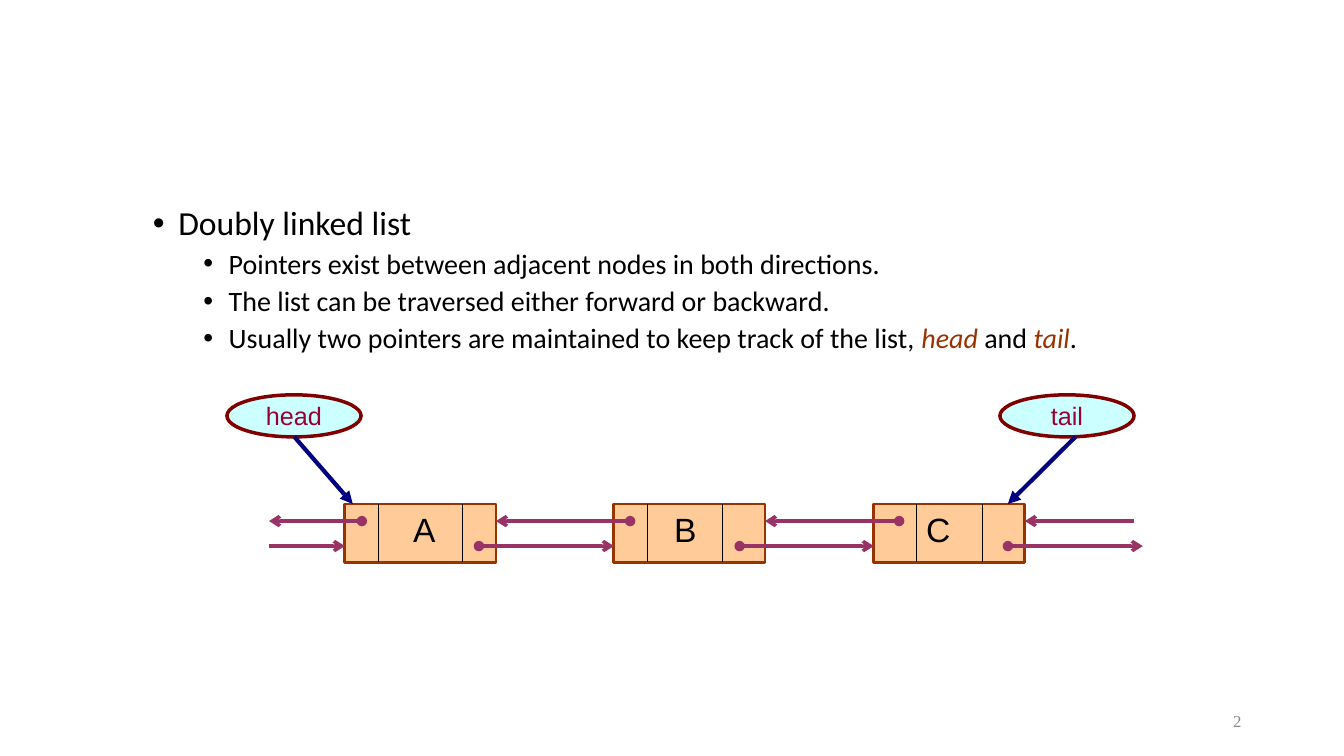
from dataclasses import dataclass

from lxml import etree
from pptx import Presentation
from pptx import util as u
from pptx.dml.color import RGBColor
from pptx.enum import shapes, text
from pptx.oxml.ns import qn


@dataclass(frozen=True)
class Theme:
    black: str = "000000"
    brown: str = "993300"
    peach: str = "FFCC99"
    plum: str = "993366"
    cyan: str = "CCFFFF"
    maroon: str = "800000"
    crimson: str = "990033"
    navy: str = "000080"
    grey: str = "898989"
    body_font: str = "Calibri"
    label_font: str = "Arial"
    number_font: str = "Times New Roman"
    large: int = 24
    medium: int = 20
    small: int = 18
    tiny: int = 12


@dataclass(frozen=True)
class Node:
    label: str
    left: float
    dividers: tuple
    label_left: float
    next_dot: float
    prev_dot: float


class ListSlide:
    """Draw the parts of a linked list slide in one theme."""

    def __init__(self, page, theme):
        self.page = page
        self.theme = theme

    def style(self, span, size, font, color, italic=False):
        span.font.size = u.Pt(size)
        span.font.name = font
        span.font.color.rgb = RGBColor.from_string(color)
        span.font.italic = italic

    def bullets(self, items, left, top, width, height):
        self.page.shapes.title.element.getparent().remove(self.page.shapes.title.element)
        body = self.page.placeholders[1]
        body.left, body.top, body.width, body.height = map(u.Cm, (left, top, width, height))
        frame = body.text_frame
        frame.auto_size = text.MSO_AUTO_SIZE.NONE
        frame.text = "\n".join("".join(parts) for level, parts in items)
        for para, (level, parts) in zip(frame.paragraphs, items):
            para.level = level
            para.line_spacing = 0.9
            para.space_before = u.Pt(5)
            self.bullet(para, 0.64 + 1.27 * level)
            para.text = ""
            for index, part in enumerate(parts):
                span = para.add_run()
                span.text = part
                marked = index % 2 == 1
                self.style(span, self.theme.large if level == 1 else self.theme.medium,
                           self.theme.body_font,
                           self.theme.brown if marked else self.theme.black, marked)

    def bullet(self, para, indent):
        props = para._p.get_or_add_pPr()
        props.set("marL", str(u.Cm(indent)))
        props.set("indent", str(u.Cm(-0.64)))
        etree.SubElement(props, qn("a:buFont")).set("typeface", "Arial")
        etree.SubElement(props, qn("a:buChar")).set("char", "•")

    def label(self, words, left, top, width, height, size, font, color,
              align=text.PP_ALIGN.LEFT, anchor=text.MSO_ANCHOR.TOP):
        box = self.page.shapes.add_textbox(*map(u.Cm, (left, top, width, height)))
        box.text_frame.word_wrap = True
        self.fill_text(box, words, size, font, color, align, anchor)

    def fill_text(self, box, words, size, font, color, align, anchor):
        frame = box.text_frame
        frame.text = words
        frame.vertical_anchor = anchor
        frame.paragraphs[0].alignment = align
        self.style(frame.paragraphs[0].runs[0], size, font, color)

    def shape(self, kind, left, top, width, height, fill, line, weight):
        box = self.page.shapes.add_shape(kind, *map(u.Cm, (left, top, width, height)))
        box.shadow.inherit = False
        box.fill.solid()
        box.fill.fore_color.rgb = RGBColor.from_string(fill)
        box.line.color.rgb = RGBColor.from_string(line)
        box.line.width = u.Pt(weight)
        return box

    def line(self, start, end, color, weight, head=None, tail=None):
        link = self.page.shapes.add_connector(
            shapes.MSO_CONNECTOR.STRAIGHT, *map(u.Cm, start + end))
        link.line.color.rgb = RGBColor.from_string(color)
        link.line.width = u.Pt(weight)
        for tag, kind in (("a:headEnd", head), ("a:tailEnd", tail)):
            if kind:
                etree.SubElement(link.line._ln, qn(tag)).set("type", kind)
        etree.SubElement(link._element.spPr, qn("a:effectLst"))

    def pointer(self, start_x, end_x, y, head="oval"):
        self.line((start_x, y), (end_x, y), self.theme.plum, 2.5, head, "arrow")

    def node(self, node, top, width, height):
        self.shape(shapes.MSO_SHAPE.RECTANGLE, node.left, top, width, height,
                   self.theme.peach, self.theme.brown, 2)
        for x in node.dividers:
            self.line((x, top), (x, top + height), self.theme.black, 0.75)
        self.label(node.label, node.label_left, top, 1.7, 1.27,
                   self.theme.large, self.theme.label_font, self.theme.black)

    def end_marker(self, words, left, start, end):
        oval = self.shape(shapes.MSO_SHAPE.OVAL, left, 9.95, 3.38, 1.06,
                          self.theme.cyan, self.theme.maroon, 2.5)
        oval.text_frame.word_wrap = False
        self.fill_text(oval, words, self.theme.small, self.theme.label_font,
                       self.theme.crimson, text.PP_ALIGN.CENTER, text.MSO_ANCHOR.MIDDLE)
        self.line(start, end, self.theme.navy, 3, tail="triangle")


ITEMS = [
    (1, ["Doubly linked list"]),
    (2, ["Pointers exist between adjacent nodes in both directions."]),
    (2, ["The list can be traversed either forward or backward."]),
    (2, ["Usually two pointers are maintained to keep track of the list, ",
         "head", " and ", "tail", "."]),
]
NODES = [
    Node("A", 8.69, (9.53, 11.66), 10.16, 12.07, 9.12),
    Node("B", 15.47, (16.31, 18.21), 16.74, 18.64, 15.88),
    Node("C", 22.02, (23.09, 24.77), 23.09, 25.4, 22.66),
]
NODE_TOP, NODE_WIDTH, NODE_HEIGHT = 12.7, 3.81, 1.47
PREV_Y, NEXT_Y = 13.13, 13.76
LIST_START, LIST_END = 6.78, 28.8


def main():
    deck = Presentation()
    deck.slide_width, deck.slide_height = u.Cm(33.87), u.Cm(19.05)
    theme = Theme()
    slide = ListSlide(deck.slides.add_slide(deck.slide_layouts[1]), theme)
    slide.bullets(ITEMS, 2.33, 5.08, 29.21, 12.09)
    slide.label("2", 23.92, 17.66, 7.62, 1.01, theme.tiny, theme.number_font,
                theme.grey, text.PP_ALIGN.RIGHT, text.MSO_ANCHOR.MIDDLE)

    for node in NODES:
        slide.node(node, NODE_TOP, NODE_WIDTH, NODE_HEIGHT)
    next_ends = [node.left for node in NODES[1:]] + [LIST_END]
    prev_ends = [LIST_START] + [node.left + NODE_WIDTH for node in NODES[:-1]]
    for node, next_end, prev_end in zip(NODES, next_ends, prev_ends):
        slide.pointer(node.next_dot, next_end, NEXT_Y)
        slide.pointer(node.prev_dot, prev_end, PREV_Y)
    slide.pointer(LIST_START, NODES[0].left, NEXT_Y, head=None)
    slide.pointer(28.58, NODES[-1].left + NODE_WIDTH, PREV_Y, head=None)

    slide.end_marker("head", 5.72, (7.42, 11.01), (8.89, NODE_TOP))
    slide.end_marker("tail", 25.2, (27.1, 11.01), (25.4, NODE_TOP))
    deck.save("out.pptx")


if __name__ == "__main__":
    main()
